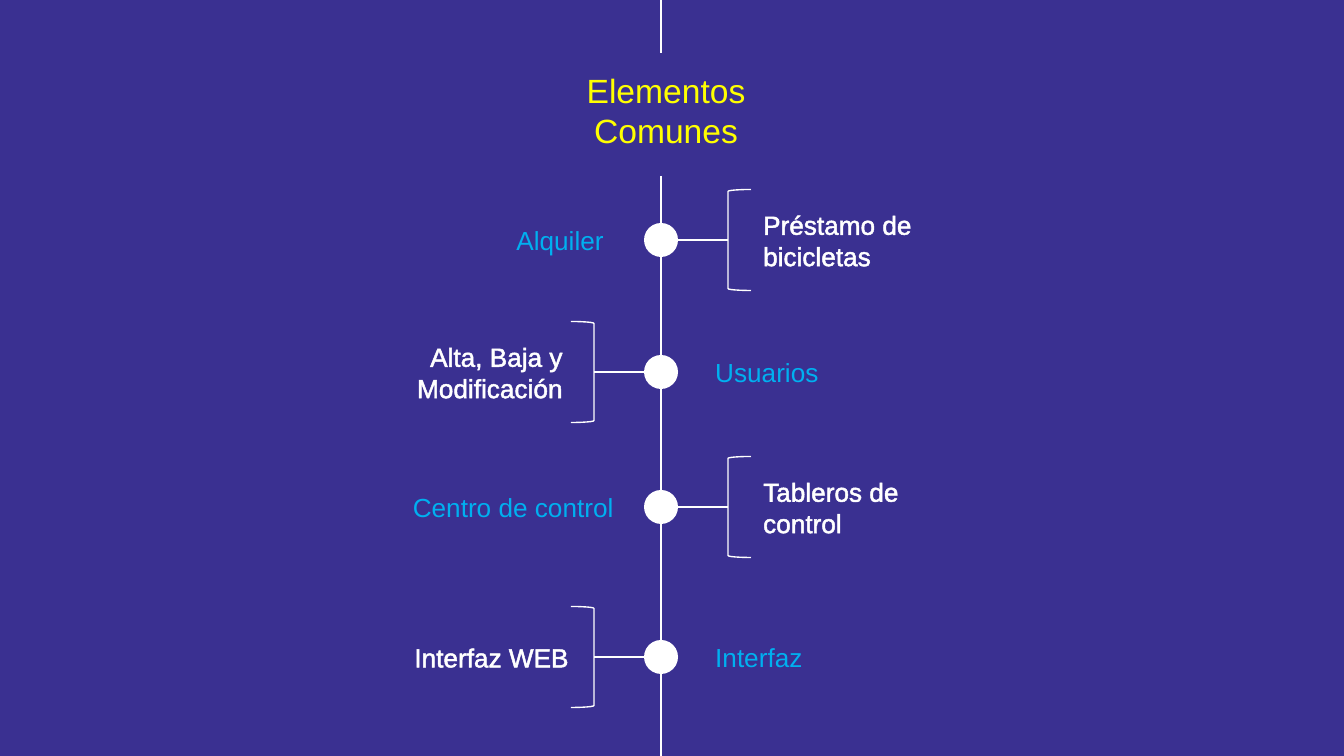
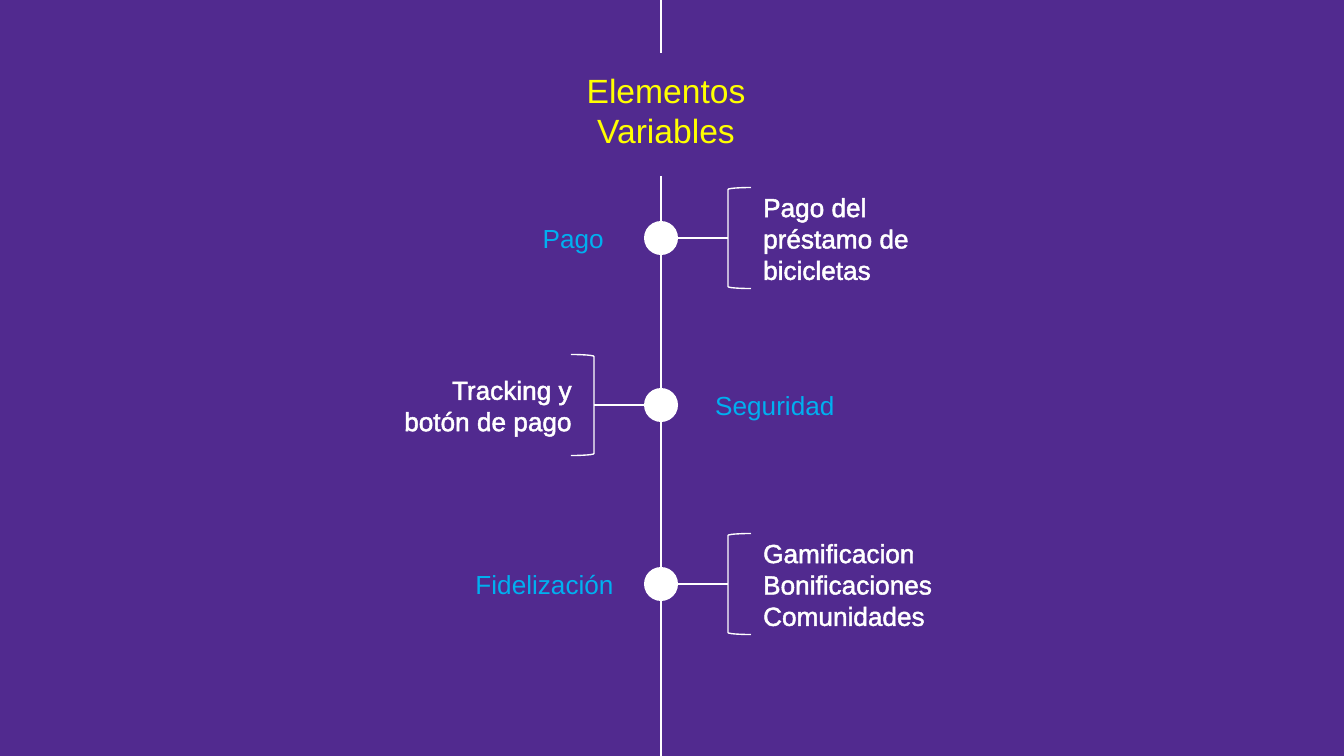
from dataclasses import dataclass

from lxml.etree import SubElement
from pptx import Presentation
from pptx.dml.color import RGBColor
from pptx.enum.shapes import MSO_CONNECTOR as Connector, MSO_SHAPE as Shape
from pptx.enum.text import MSO_ANCHOR as Anchor, PP_ALIGN as Align
from pptx.oxml.ns import qn
from pptx.util import Pt

EMU_PER_PX = 914400 / 134.4
WIDTH, HEIGHT = 1344, 756
AXIS_X = 661
DOT = 34
BRACKET_WIDTH, BRACKET_HEIGHT = 23, 101
BRACKET_GAP = 67
LABEL_HEIGHT = 56
COLORS = {
    "common": "3A3091",
    "variable": "512A8F",
    "title": "FFFF00",
    "label": "00B0F0",
    "white": "FFFFFF",
}


@dataclass
class Milestone:
    """A timeline entry; each span is the left and width of its text."""
    y: int
    label: str
    label_span: tuple
    detail: str
    detail_span: tuple


COMMON = [
    Milestone(240, "Alquiler", (426, 191), "Préstamo de bicicletas", (750, 191)),
    Milestone(372, "Usuarios", (702, 191), "Alta, Baja y Modificación", (333, 243)),
    Milestone(507, "Centro de control", (392, 235), "Tableros de control", (750, 202)),
    Milestone(657, "Interfaz", (702, 191), "Interfaz WEB", (339, 243)),
]
VARIABLE = [
    Milestone(238, "Pago", (426, 191), "Pago del préstamo de bicicletas", (750, 191)),
    Milestone(405, "Seguridad", (702, 191), "Tracking y botón de pago", (370, 215)),
    Milestone(584, "Fidelización", (392, 235),
              "Gamificacion\nBonificaciones\nComunidades", (750, 202)),
]


def px(*lengths):
    """Turn pixel lengths into EMU."""
    return [round(length * EMU_PER_PX) for length in lengths]


def rgb(name):
    """Look up a named colour."""
    return RGBColor.from_string(COLORS[name])


def outline_text(run, color):
    """Give the letters of a run a hairline outline."""
    line = SubElement(run._r.get_or_add_rPr(), qn("a:ln"), w="3175")
    fill = SubElement(line, qn("a:solidFill"))
    SubElement(fill, qn("a:srgbClr"), val=COLORS[color])


def add_text(slide, text, box, size, color, align):
    """Add a wrapped, vertically centred text box."""
    frame = slide.shapes.add_textbox(*px(*box)).text_frame
    frame.word_wrap = True
    frame.vertical_anchor = Anchor.MIDDLE
    frame.text = text
    for paragraph in frame.paragraphs:
        paragraph.alignment = align
        paragraph.font.name = "Arial"
        paragraph.font.size = Pt(size)
        paragraph.font.color.rgb = rgb(color)
        for run in paragraph.runs:
            outline_text(run, color)


def add_line(slide, start, end, weight):
    """Add a plain white straight line."""
    line = slide.shapes.add_connector(Connector.STRAIGHT, *px(*start, *end))
    line.line.color.rgb = rgb("white")
    line.line.width = Pt(weight)
    SubElement(line._element.spPr, qn("a:effectLst"))


def add_dot(slide, y):
    """Add a round marker on the axis."""
    dot = slide.shapes.add_shape(
        Shape.OVAL, *px(AXIS_X - DOT / 2, y - DOT / 2, DOT, DOT))
    dot.shadow.inherit = False
    dot.fill.solid()
    dot.fill.fore_color.rgb = rgb("white")
    dot.line.fill.background()


def add_bracket(slide, y, side):
    """Add a bracket opening away from the axis, and its link to the dot."""
    spine = AXIS_X + side * BRACKET_GAP
    left = min(spine, spine + side * BRACKET_WIDTH)
    bracket = slide.shapes.add_shape(
        Shape.LEFT_BRACKET,
        *px(left, y - BRACKET_HEIGHT / 2, BRACKET_WIDTH, BRACKET_HEIGHT))
    bracket.shadow.inherit = False
    bracket.fill.background()
    bracket.line.color.rgb = rgb("white")
    bracket.line.width = Pt(0.75)
    if side < 0:
        bracket._element.spPr.xfrm.set("flipH", "1")
    add_line(slide, (AXIS_X + side * DOT / 2, y), (spine, y), 0.75)


def add_side_text(slide, text, y, span, height, color):
    """Add 14 pt text aligned towards the axis."""
    left, width = span
    align = Align.LEFT if left > AXIS_X else Align.RIGHT
    add_text(slide, text, (left, y - height / 2, width, height), 14, color, align)


def add_milestone(slide, milestone):
    """Add the dot, bracket, label and detail of one entry."""
    y = milestone.y
    side = 1 if milestone.detail_span[0] > AXIS_X else -1
    add_dot(slide, y)
    add_bracket(slide, y, side)
    add_side_text(slide, milestone.detail, y, milestone.detail_span,
                  BRACKET_HEIGHT, "white")
    add_side_text(slide, milestone.label, y, milestone.label_span,
                  LABEL_HEIGHT, "label")


def add_timeline(presentation, title, background, milestones):
    """Add a slide with a titled vertical timeline."""
    slide = presentation.slides.add_slide(presentation.slide_layouts[6])
    slide.background.fill.solid()
    slide.background.fill.fore_color.rgb = rgb(background)
    add_line(slide, (AXIS_X, 0), (AXIS_X, 53), 1.5)
    add_text(slide, title, (560, 82, 212, 56), 18, "title", Align.CENTER)
    add_line(slide, (AXIS_X, 176), (AXIS_X, HEIGHT), 1.5)
    for milestone in milestones:
        add_milestone(slide, milestone)


def main():
    """Build and save the presentation."""
    presentation = Presentation()
    presentation.slide_width, presentation.slide_height = px(WIDTH, HEIGHT)
    add_timeline(presentation, "Elementos Comunes", "common", COMMON)
    add_timeline(presentation, "Elementos Variables", "variable", VARIABLE)
    presentation.save("out.pptx")


if __name__ == "__main__":
    main()
